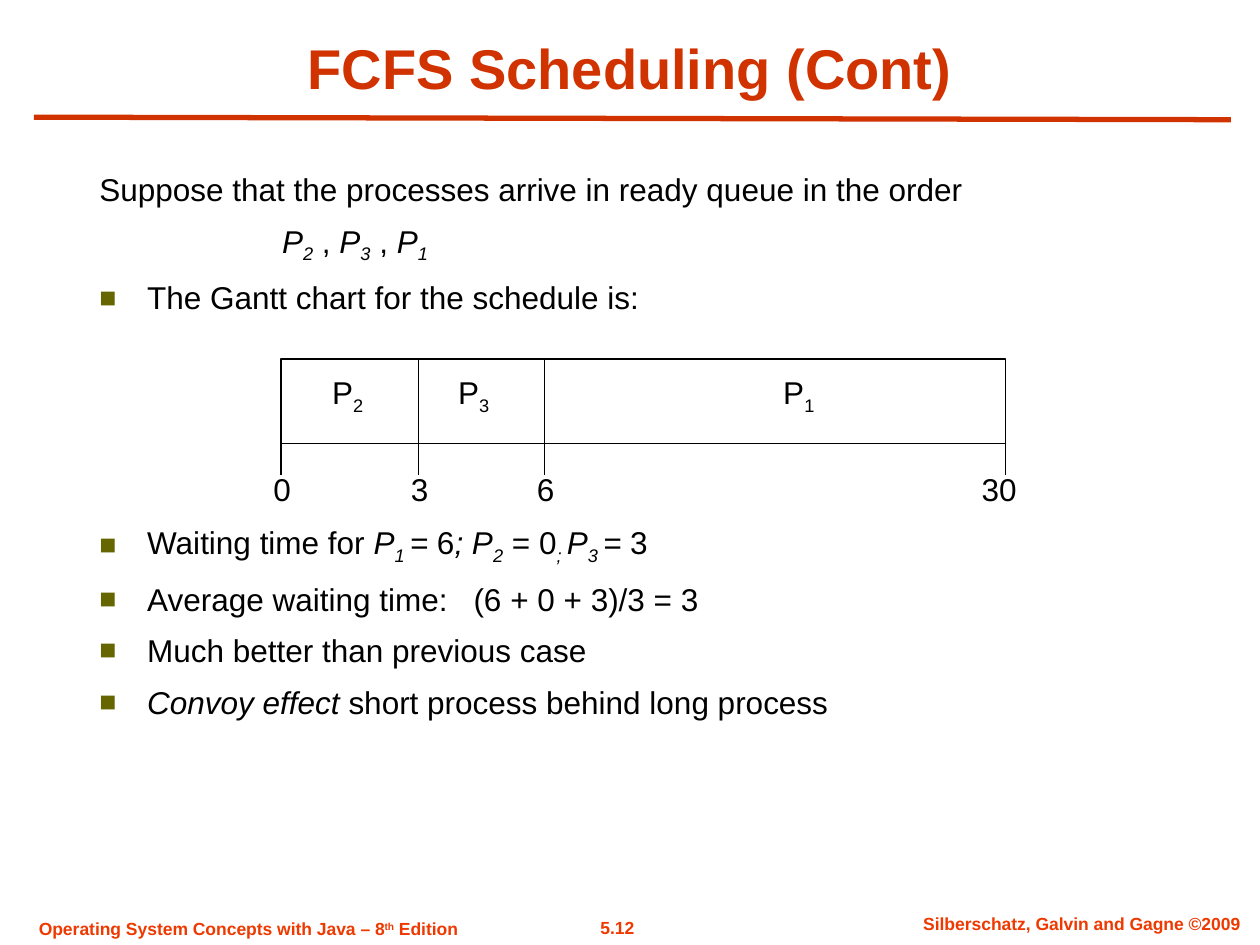
import pptx
import pptx.util
import pptx.dml.color
import pptx.enum.shapes
import pptx.enum.text
import lxml.etree

Inches, Pt = pptx.util.Inches, pptx.util.Pt
ALIGN = pptx.enum.text.PP_ALIGN
ANCHOR = pptx.enum.text.MSO_ANCHOR

# Content: a run is (text, flags); i = italic, b = subscript, p = superscript
TITLE = [("FCFS Scheduling (Cont)", "")]
BODY = [  # (kind, space before in points, runs)
    ("plain", 7.9, [("Suppose that the processes arrive in ready queue in the order", "")]),
    ("order", 7.9, [("P", "i"), ("2", "ib"), (" , ", ""), ("P", "i"), ("3", "ib"),
                    (" , ", ""), ("P", "i"), ("1", "ib")]),
    ("bullet", 7.9, [("The Gantt chart for the schedule is:", "")]),
    ("bullet", 118, [("Waiting time for ", ""), ("P", "i"), ("1 ", "ib"), ("=", "i"), (" 6", ""),
                     ("; P", "i"), ("2", "ib"), (" = 0", ""), ("; ", "ib"), ("P", "i"),
                     ("3 ", "ib"), ("= ", "i"), ("3", "")]),
    ("bullet", 7.9, [("Average waiting time:\t(6 + 0 + 3)/3 = 3", "")]),
    ("bullet", 7.9, [("Much better than previous case", "")]),
    ("bullet", 7.9, [("Convoy effect", "i"), (" short process behind long process", "")]),
]
INDENTS = {"plain": (0, 0), "order": (1.45, 0), "bullet": (0.38, -0.38)}
PROCESSES = [("2", 2.76), ("3", 3.76), ("1", 6.34)]  # (number, label centre)
TIMES = [("0", 2.23, 2.24), ("3", 3.32, 3.33), ("6", 4.32, 4.33),
         ("30", 7.98, 7.93)]  # (time, tick, label centre)
FOOTERS = [  # (left, top, width, wrap, alignment, runs)
    (4.41, 7.23, 0.98, False, ALIGN.CENTER, [("5.12", "")]),
    (7.1, 7.2, 2.97, True, ALIGN.CENTER, [("Silberschatz, Galvin and Gagne ©2009", "")]),
    (0.21, 7.24, 3.56, False, ALIGN.LEFT,
     [("Operating System Concepts with Java – 8", ""), ("th", "p"), (" Edition", "")]),
]
RED, FOOTER_RED, BLACK, WHITE, OLIVE = "D03200", "EE3900", "000000", "FFFFFF", "666600"
BAR_TOP, BAR_BOTTOM, TICK_BOTTOM = 2.85, 3.52, 3.77


def color(value):
    return pptx.dml.color.RGBColor.from_string(value)


def add_runs(paragraph, runs, size, ink, bold=False):
    for text, flags in runs:
        run = paragraph.add_run()
        run.text = text
        font = run.font
        font.name, font.size, font.bold = "Arial", Pt(size), bold
        font.italic = "i" in flags
        font.color.rgb = color(ink)
        if "b" in flags or "p" in flags:
            run._r.get_or_add_rPr().set("baseline", "-25000" if "b" in flags else "30000")


def add_box(slide, left, top, width, height, wrap=True, anchor=ANCHOR.TOP):
    box = slide.shapes.add_textbox(Inches(left), Inches(top), Inches(width), Inches(height))
    frame = box.text_frame
    frame.word_wrap, frame.vertical_anchor = wrap, anchor
    return frame


def add_label(slide, center, top, width, height, runs):
    frame = add_box(slide, center - width / 2, top, width, height, False, ANCHOR.MIDDLE)
    paragraph = frame.paragraphs[0]
    paragraph.alignment = ALIGN.CENTER
    add_runs(paragraph, runs, 18, BLACK)


def add_line(slide, x1, y1, x2, y2, ink=BLACK, width=0.75):
    line = slide.shapes.add_connector(pptx.enum.shapes.MSO_CONNECTOR.STRAIGHT,
                                      Inches(x1), Inches(y1), Inches(x2), Inches(y2))
    line.line.color.rgb, line.line.width = color(ink), Pt(width)
    lxml.etree.SubElement(line._element.spPr, pptx.oxml.ns.qn("a:effectLst"))


def format_body(paragraph, kind):
    qn = pptx.oxml.ns.qn
    properties = paragraph._p.get_or_add_pPr()
    margin, indent = INDENTS[kind]
    properties.set("marL", str(Inches(margin)))
    properties.set("indent", str(Inches(indent)))
    if kind == "bullet":
        bullet_color = lxml.etree.SubElement(properties, qn("a:buClr"))
        lxml.etree.SubElement(bullet_color, qn("a:srgbClr"), val=OLIVE)
        lxml.etree.SubElement(properties, qn("a:buSzPct"), val="90000")
        lxml.etree.SubElement(properties, qn("a:buFont"), typeface="Arial")
        lxml.etree.SubElement(properties, qn("a:buChar"), char="■")
        tabs = lxml.etree.SubElement(properties, qn("a:tabLst"))
        lxml.etree.SubElement(tabs, qn("a:tab"), pos=str(Inches(2.97)), algn="l")


def main():
    presentation = pptx.Presentation()
    presentation.slide_width, presentation.slide_height = Inches(10), Inches(7.5)
    slide = presentation.slides.add_slide(presentation.slide_layouts[6])

    # Footer
    for left, top, width, wrap, alignment, runs in FOOTERS:
        paragraph = add_box(slide, left, top, width, 0.27, wrap).paragraphs[0]
        paragraph.alignment = alignment
        add_runs(paragraph, runs, 10, FOOTER_RED, True)

    # Title and rule
    add_line(slide, 0.27, 0.93, 9.77, 0.95, RED, 3)
    paragraph = add_box(slide, 0.5, 0.22, 9, 0.63, anchor=ANCHOR.BOTTOM).paragraphs[0]
    paragraph.alignment = ALIGN.CENTER
    add_runs(paragraph, TITLE, 32, RED, True)

    # Body text, leaving room for the chart
    frame = add_box(slide, 0.69, 1.3, 8.46, 4.96)
    for index, (kind, space, runs) in enumerate(BODY):
        paragraph = frame.add_paragraph() if index else frame.paragraphs[0]
        paragraph.space_before = Pt(space)
        format_body(paragraph, kind)
        add_runs(paragraph, runs, 18, BLACK)

    # Gantt bar
    start, end = TIMES[0][1], TIMES[-1][1]
    bar = slide.shapes.add_shape(pptx.enum.shapes.MSO_SHAPE.RECTANGLE, Inches(start),
                                 Inches(BAR_TOP), Inches(end - start),
                                 Inches(BAR_BOTTOM - BAR_TOP))
    bar.shadow.inherit = False
    bar.fill.solid()
    bar.fill.fore_color.rgb = color(WHITE)
    bar.line.color.rgb, bar.line.width = color(BLACK), Pt(0.75)
    for number, center in PROCESSES:
        add_label(slide, center, 2.91, 0.45, 0.44, [("P", ""), (number, "b")])

    # Dividers, ticks and times
    for _, tick, _ in TIMES[1:-1]:
        add_line(slide, tick, BAR_TOP, tick, BAR_BOTTOM)
    for time, tick, center in TIMES:
        add_line(slide, tick, BAR_BOTTOM, tick, TICK_BOTTOM)
        add_label(slide, center, 3.68, 0.2 + 0.14 * len(time), 0.4, [(time, "")])

    presentation.save("out.pptx")


if __name__ == "__main__":
    main()
